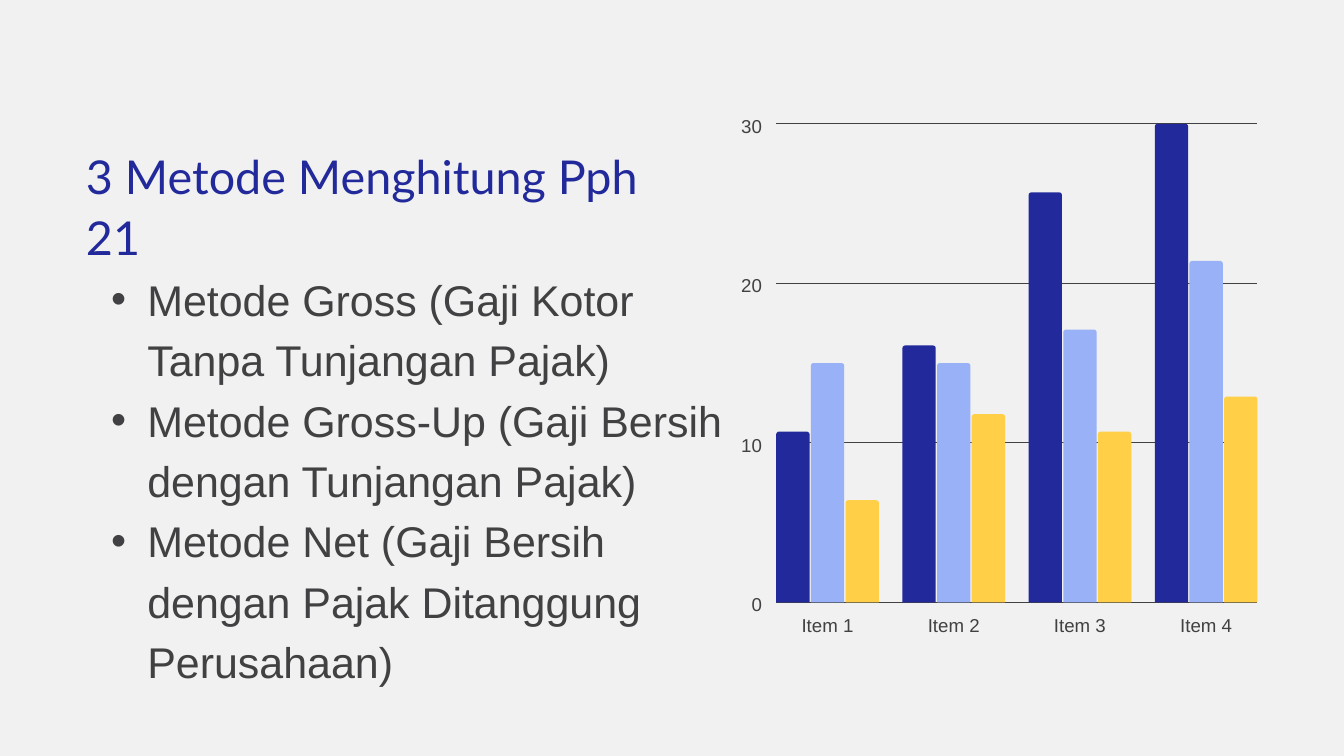
from dataclasses import dataclass

from lxml.etree import SubElement
from pptx import Presentation
from pptx.dml.color import RGBColor
from pptx.enum.shapes import MSO_CONNECTOR, MSO_SHAPE
from pptx.enum.text import MSO_ANCHOR, MSO_AUTO_SIZE, PP_ALIGN
from pptx.oxml.ns import qn
from pptx.util import Cm, Pt


@dataclass(frozen=True)
class Theme:
    background: RGBColor = RGBColor(0xF1, 0xF1, 0xF1)
    text: RGBColor = RGBColor(0x41, 0x40, 0x42)
    title: RGBColor = RGBColor(0x22, 0x2A, 0x9B)
    series: tuple = (
        RGBColor(0x22, 0x2A, 0x9B),
        RGBColor(0x99, 0xB1, 0xF6),
        RGBColor(0xFE, 0xCF, 0x47),
    )
    title_font: str = "Lato"
    body_font: str = "Arial"
    title_size: Pt = Pt(50)
    body_size: Pt = Pt(46)
    label_size: Pt = Pt(20)


THEME = Theme()
TITLE = "3 Metode Menghitung Pph 21"
METHODS = (
    "Metode Gross (Gaji Kotor Tanpa Tunjangan Pajak)",
    "Metode Gross-Up (Gaji Bersih dengan Tunjangan Pajak)",
    "Metode Net (Gaji Bersih dengan Pajak Ditanggung Perusahaan)",
)
ITEMS = ("Item 1", "Item 2", "Item 3", "Item 4")
SERIES_VALUES = (
    (10.7, 16.1, 25.7, 30),
    (15, 15, 17.1, 21.4),
    (6.4, 11.8, 10.7, 12.9),
)
TICKS = (30, 20, 10, 0)

# Chart geometry in centimetres
PLOT_LEFT, PLOT_WIDTH = 29.34, 18.19
PLOT_TOP, PLOT_BOTTOM = 4.68, 22.77
BAR_WIDTH, BAR_PITCH = 1.26, 1.31
CLUSTER_WIDTH = BAR_PITCH * (len(SERIES_VALUES) - 1) + BAR_WIDTH
CLUSTER_PITCH = (PLOT_WIDTH - CLUSTER_WIDTH) / (len(ITEMS) - 1)
LABEL_HEIGHT = 1.02


def value_position(value):
    """Vertical position of a value on the chart's scale, in centimetres."""
    return PLOT_BOTTOM - value * (PLOT_BOTTOM - PLOT_TOP) / max(TICKS)


def prepare_frame(shape):
    frame = shape.text_frame
    frame.margin_left = frame.margin_right = 0
    frame.margin_top = frame.margin_bottom = 0
    frame.vertical_anchor = MSO_ANCHOR.TOP
    frame.auto_size = MSO_AUTO_SIZE.NONE
    frame.word_wrap = True
    return frame


def place_frame(shape, left, top, width, height):
    shape.left, shape.top = Cm(left), Cm(top)
    shape.width, shape.height = Cm(width), Cm(height)
    return prepare_frame(shape)


def format_paragraph(paragraph, font_name, size, color, line_spacing,
                     alignment=PP_ALIGN.LEFT):
    paragraph.alignment = alignment
    paragraph.line_spacing = Pt(line_spacing)
    paragraph.space_before = paragraph.space_after = Pt(0)
    paragraph.font.name = font_name
    paragraph.font.size = size
    paragraph.font.color.rgb = color


def add_bullet(paragraph):
    properties = paragraph._p.get_or_add_pPr()
    properties.set("marL", str(Cm(2.77)))
    properties.set("indent", str(Cm(-1.37)))
    SubElement(properties, qn("a:buFont")).set("typeface", "Arial")
    SubElement(properties, qn("a:buChar")).set("char", "•")


def fill_title(slide):
    frame = place_frame(slide.shapes.title, 3.25, 5.41, 23.19, 4.6)
    frame.text = TITLE
    format_paragraph(frame.paragraphs[0], THEME.title_font, THEME.title_size,
                     THEME.title, 65)


def fill_list(slide):
    frame = place_frame(slide.placeholders[1], 2.8, 10, 25.17, 18.26)
    frame.text = "\n".join(METHODS)
    for paragraph in frame.paragraphs:
        paragraph.level = 1
        add_bullet(paragraph)
        format_paragraph(paragraph, THEME.body_font, THEME.body_size,
                         THEME.text, 64.7)


def add_label(slide, text, left, top, width, alignment):
    box = slide.shapes.add_textbox(Cm(left), Cm(top), Cm(width), Cm(LABEL_HEIGHT))
    frame = prepare_frame(box)
    frame.text = text
    format_paragraph(frame.paragraphs[0], THEME.body_font, THEME.label_size,
                     THEME.text, 28.5, alignment)


def add_gridline(slide, top):
    line = slide.shapes.add_connector(
        MSO_CONNECTOR.STRAIGHT, Cm(PLOT_LEFT), Cm(top),
        Cm(PLOT_LEFT + PLOT_WIDTH), Cm(top))
    line.line.color.rgb = THEME.text
    line.line.width = Pt(0.7)
    SubElement(line._element.spPr, qn("a:effectLst"))


def add_bar(slide, left, value, color):
    top = value_position(value)
    bar = slide.shapes.add_shape(
        MSO_SHAPE.ROUND_2_SAME_RECTANGLE, Cm(left), Cm(top),
        Cm(BAR_WIDTH), Cm(PLOT_BOTTOM - top))
    bar.adjustments[0] = 0.08
    bar.shadow.inherit = False
    bar.fill.solid()
    bar.fill.fore_color.rgb = color
    bar.line.fill.background()


def add_bar_diagram(slide):
    """Draw the round-topped bars with their scale and item labels."""
    for index, item in enumerate(ITEMS):
        add_label(slide, item, PLOT_LEFT + index * CLUSTER_PITCH, 23.06,
                  CLUSTER_WIDTH, PP_ALIGN.CENTER)
    for tick in TICKS:
        top = value_position(tick)
        add_gridline(slide, top)
        add_label(slide, str(tick), 27.8, top - LABEL_HEIGHT / 2, 1,
                  PP_ALIGN.RIGHT)
    for row, (values, color) in enumerate(zip(SERIES_VALUES, THEME.series)):
        for column, value in enumerate(values):
            left = PLOT_LEFT + column * CLUSTER_PITCH + row * BAR_PITCH
            add_bar(slide, left, value, color)


def main():
    presentation = Presentation()
    presentation.slide_width, presentation.slide_height = Cm(50.8), Cm(28.58)
    slide = presentation.slides.add_slide(presentation.slide_layouts[1])
    slide.background.fill.solid()
    slide.background.fill.fore_color.rgb = THEME.background
    fill_list(slide)
    fill_title(slide)
    add_bar_diagram(slide)
    presentation.save("out.pptx")


if __name__ == "__main__":
    main()
